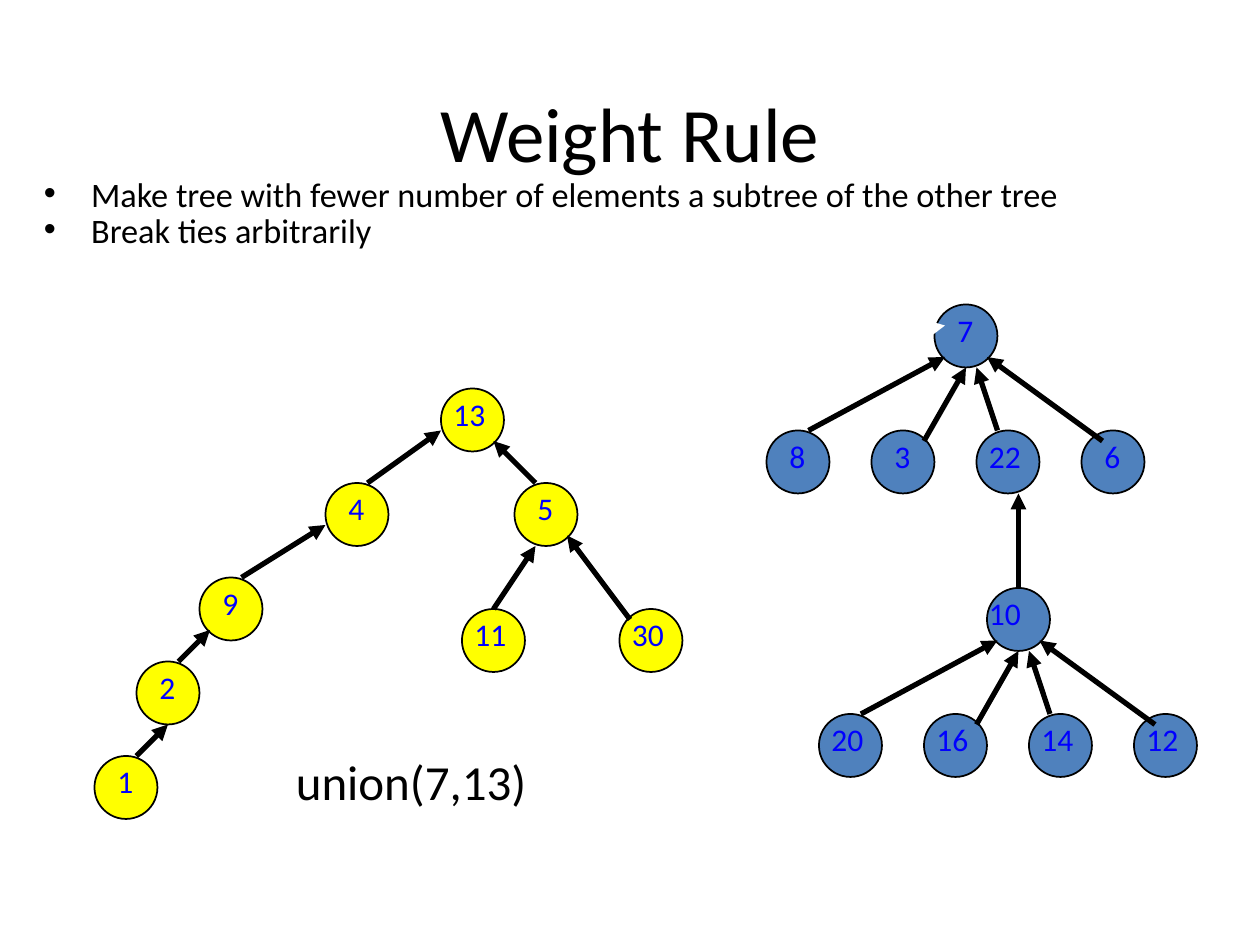
import dataclasses

import lxml.etree
import pptx
import pptx.dml.color
import pptx.enum.shapes
import pptx.enum.text
import pptx.oxml.ns
import pptx.util

Pt = pptx.util.Pt
Align = pptx.enum.text.PP_ALIGN
Anchor = pptx.enum.text.MSO_ANCHOR
UNIT = 6


@dataclasses.dataclass(frozen=True)
class Theme:
    font: str = "Calibri"
    ink: str = "000000"
    white: str = "FFFFFF"
    left: str = "FFFF00"
    right: str = "4F81BD"
    label: str = "0000FF"
    title: float = 44
    body: float = 19.6
    call: float = 28
    node: float = 18
    edge: float = 3
    rim: float = 1


def tint(code):
    return pptx.dml.color.RGBColor.from_string(code)


def child(parent, tag, **attrs):
    return lxml.etree.SubElement(parent, pptx.oxml.ns.qn(tag), attrs)


def write(frame, text, font, size, color, align=Align.LEFT, anchor=Anchor.TOP,
          bullet=None, indent=0, gap=0, pitch=None):
    frame.word_wrap = True
    frame.vertical_anchor = anchor
    for i, line in enumerate(text.split("\n")):
        para = frame.add_paragraph() if i else frame.paragraphs[0]
        para.alignment = align
        para.space_before = Pt(gap)
        if pitch:
            para.line_spacing = pitch
        if bullet:
            props = para._p.get_or_add_pPr()
            props.set("marL", str(Pt(indent)))
            props.set("indent", str(-Pt(indent)))
            child(props, "a:buFont", typeface="Arial")
            child(props, "a:buChar", char=bullet)
        run = para.add_run()
        run.text = line
        run.font.name = font
        run.font.size = Pt(size)
        run.font.color.rgb = tint(color)


class Deck:
    def __init__(self, theme):
        self.theme = theme
        self.show = pptx.Presentation()
        self.show.slide_width = Pt(720)
        self.show.slide_height = Pt(540)
        self.slide = self.show.slides.add_slide(self.show.slide_layouts[6])

    def text(self, text, x, y, wide, high, size, color=None, **form):
        box = self.slide.shapes.add_textbox(Pt(x), Pt(y), Pt(wide), Pt(high))
        write(box.text_frame, text, self.theme.font, size,
              color or self.theme.ink, **form)

    def node(self, name, col, row, fill, shift=None):
        x, y, side = col * UNIT, row * UNIT, 6 * UNIT
        disc = self.slide.shapes.add_shape(
            pptx.enum.shapes.MSO_SHAPE.OVAL, Pt(x), Pt(y), Pt(side), Pt(side))
        disc.shadow.inherit = False
        disc.fill.solid()
        disc.fill.fore_color.rgb = tint(fill)
        disc.line.color.rgb = tint(self.theme.ink)
        disc.line.width = Pt(self.theme.rim)
        single = len(name) == 1
        if shift is None:
            shift = UNIT if single else 0
        self.text(name, x + shift, y, 24 if single else 54, side,
                  self.theme.node, self.theme.label)

    def edge(self, start, end, color=None, tip="a:headEnd"):
        ends = [Pt(n * UNIT) for n in (*start, *end)]
        line = self.slide.shapes.add_connector(
            pptx.enum.shapes.MSO_CONNECTOR.STRAIGHT, *ends)
        line.line.color.rgb = tint(color or self.theme.ink)
        line.line.width = Pt(self.theme.edge)
        child(line.line._get_or_add_ln(), tip, type="triangle")
        child(line._element.spPr, "a:effectLst")

    def fan(self, root, names, col, row, shift=None):
        self.node(root, col, row, self.theme.right, shift)
        for i, name in enumerate(names):
            self.node(name, col - 16 + 10 * i, row + 12, self.theme.right)
        for (x1, y1), (x2, y2) in FAN:
            self.edge((col + x1, row + y1), (col + x2, row + y2))


FAN = [((1, 5), (-12, 12)), ((3, 6), (-1, 13)),
       ((4, 6), (6, 12)), ((5, 5), (16, 13))]
NODES = [("4", 31, 46), ("2", 13, 63), ("9", 19, 55), ("11", 44, 58),
         ("30", 59, 58), ("5", 49, 46), ("13", 42, 37), ("1", 9, 72)]
EDGES = [((42, 41), (35, 46)), ((31, 50), (23, 55)), ((47, 42), (51, 46)),
         ((20, 60), (17, 63)), ((51, 52), (47, 58)), ((54, 51), (60, 59)),
         ((16, 69), (13, 72))]


def main():
    theme = Theme()
    deck = Deck(theme)
    deck.text("Weight Rule", 54, 30, 612, 90, theme.title,
              align=Align.CENTER, anchor=Anchor.MIDDLE)
    deck.text("Make tree with fewer number of elements a subtree of the other tree\n"
              "Break ties arbitrarily", 18, 102, 702, 48, theme.body,
              bullet="•", indent=27, gap=4, pitch=0.7)
    for name, col, row in NODES:
        deck.node(name, col, row, theme.left)
    for start, end in EDGES:
        deck.edge(start, end)
    deck.fan("7", ["8", "3", "22", "6"], 89, 29)
    deck.fan("10", ["20", "16", "14", "12"], 94, 56, shift=-UNIT)
    deck.edge((97, 47), (97, 56))
    deck.text("union(7,13)", 162, 426, 186, 41, theme.call)
    deck.edge((48, 39), (90, 31), theme.white, "a:tailEnd")
    deck.show.save("out.pptx")


if __name__ == "__main__":
    main()
